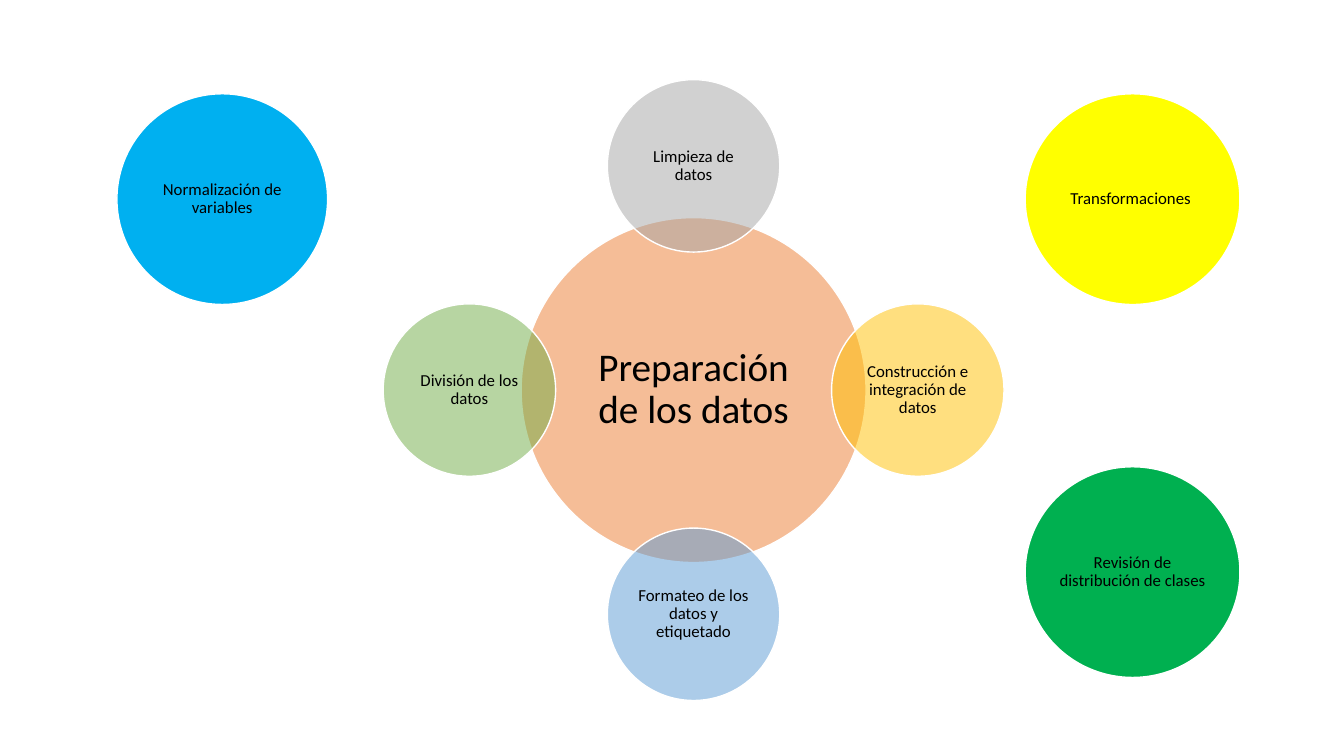
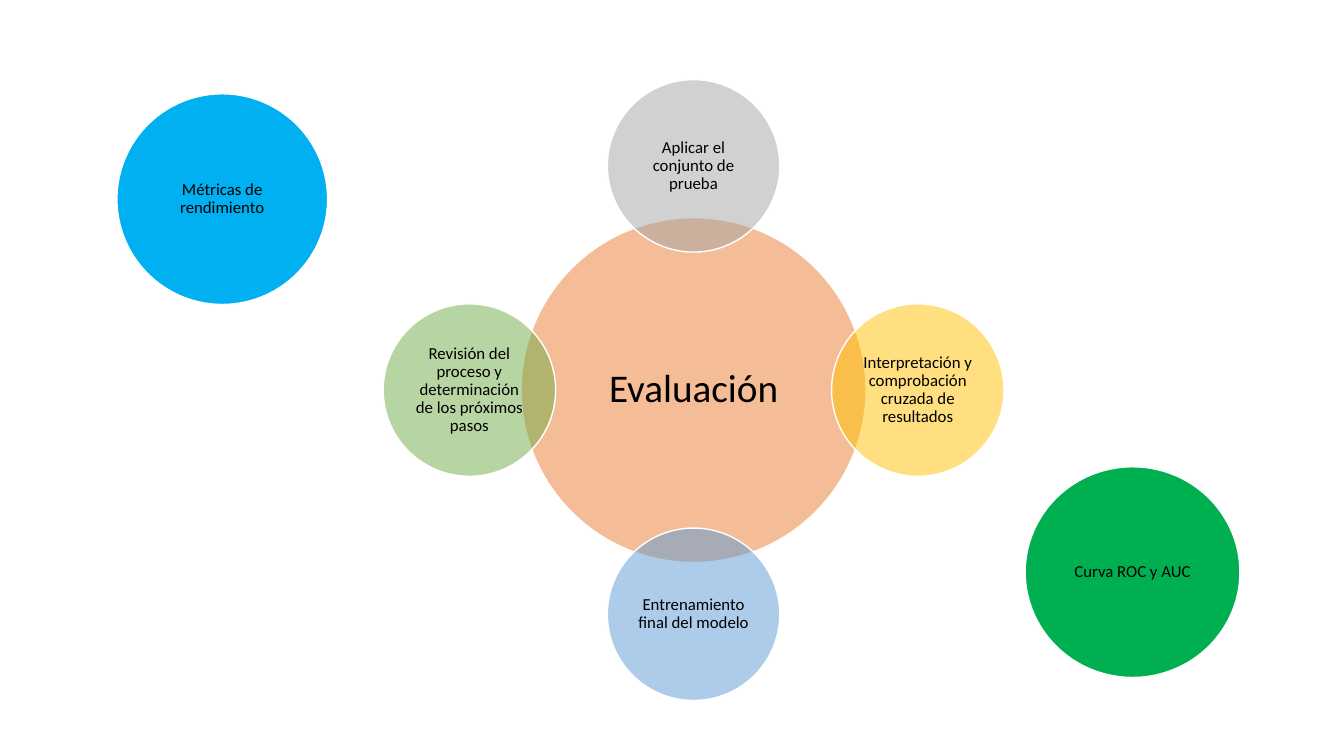
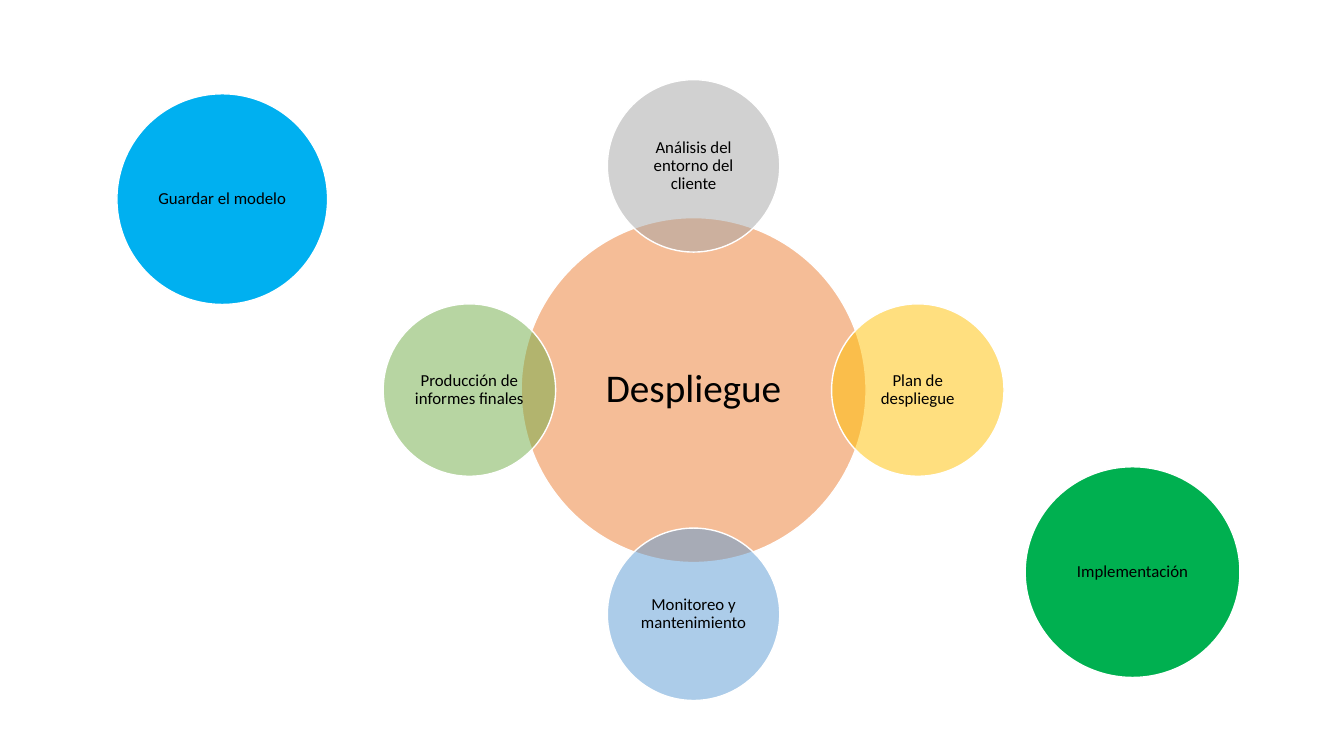
from dataclasses import dataclass
from math import cos, pi, sin

from lxml.etree import SubElement
from pptx import Presentation
from pptx.dml.color import RGBColor
from pptx.enum.shapes import MSO_SHAPE
from pptx.enum.text import MSO_ANCHOR, PP_ALIGN
from pptx.oxml.ns import qn
from pptx.util import Pt


@dataclass(frozen=True)
class Theme:
    font: str = "Calibri"
    text: str = "000000"
    outline: str = "FFFFFF"
    hub: str = "ED7D31"
    steps: tuple = ("A5A5A5", "FFC000", "5B9BD5", "70AD47")
    blue: str = "00B0F0"
    green: str = "00B050"
    yellow: str = "FFFF00"
    hub_size: int = 28
    label_size: int = 12
    line_spacing: float = 0.9
    outline_width: int = 1
    alpha: int = 50


THEME = Theme()
CYCLE_BOX = (273.7, 56.9, 443.5)
TOPIC_BOXES = {
    THEME.blue: (83.5, 67, 150.5, 150.5),
    THEME.green: (732.3, 333.4, 153.4, 150.5),
    THEME.yellow: (732.3, 67, 153.4, 150.5),
}
SLIDES = [
    (
        "Preparación de los datos",
        ["Limpieza de datos", "Construcción e integración de datos",
         "Formateo de los datos y etiquetado", "División de los datos"],
        {THEME.blue: "Normalización de variables",
         THEME.green: "Revisión de distribución de clases",
         THEME.yellow: "Transformaciones "},
    ),
    (
        "Evaluación",
        ["Aplicar el conjunto de prueba",
         "Interpretación y comprobación cruzada de resultados",
         "Entrenamiento final del modelo",
         "Revisión del proceso y determinación de los próximos pasos"],
        {THEME.blue: "Métricas de rendimiento",
         THEME.green: "Curva ROC y AUC"},
    ),
    (
        "Despliegue",
        ["Análisis del entorno del cliente", "Plan de despliegue",
         "Monitoreo y mantenimiento", "Producción de informes finales"],
        {THEME.blue: "Guardar el modelo",
         THEME.green: "Implementación"},
    ),
]


def add_circle(slide, box, color, text, size=THEME.label_size, alpha=100):
    sp = slide.shapes.add_shape(MSO_SHAPE.OVAL, *(Pt(v) for v in box))
    sp.shadow.inherit = False
    sp.fill.solid()
    sp.fill.fore_color.rgb = RGBColor.from_string(color)
    if alpha < 100:
        fill_color = sp.element.spPr.find(f"{qn('a:solidFill')}/{qn('a:srgbClr')}")
        SubElement(fill_color, qn("a:alpha")).set("val", str(alpha * 1000))
    sp.line.color.rgb = RGBColor.from_string(THEME.outline)
    sp.line.width = Pt(THEME.outline_width)

    tf = sp.text_frame
    tf.word_wrap = True
    tf.vertical_anchor = MSO_ANCHOR.MIDDLE
    inset = Pt(size / 10)
    tf.margin_left = tf.margin_right = tf.margin_top = tf.margin_bottom = inset
    p = tf.paragraphs[0]
    p.text = text
    p.alignment = PP_ALIGN.CENTER
    p.line_spacing = THEME.line_spacing
    p.font.name = THEME.font
    p.font.size = Pt(size)
    p.font.color.rgb = RGBColor.from_string(THEME.text)


def add_cycle(slide, box, hub, steps):
    left, top, side = box
    center_x, center_y = left + side / 2, top + side / 2
    hub_side = side * 5 / 9
    step_side = hub_side / 2
    orbit = (side - step_side) / 2

    def square(x, y, width):
        return x - width / 2, y - width / 2, width, width

    add_circle(slide, square(center_x, center_y, hub_side), THEME.hub, hub,
               THEME.hub_size, THEME.alpha)
    for i, (text, color) in enumerate(zip(steps, THEME.steps)):
        angle = 2 * pi * i / len(steps)
        x = center_x + orbit * sin(angle)
        y = center_y - orbit * cos(angle)
        add_circle(slide, square(x, y, step_side), color, text, alpha=THEME.alpha)


def add_cycle_slide(prs, hub, steps, topics):
    slide = prs.slides.add_slide(prs.slide_layouts[6])
    add_cycle(slide, CYCLE_BOX, hub, steps)
    for color, text in topics.items():
        add_circle(slide, TOPIC_BOXES[color], color, text)


def main():
    prs = Presentation()
    prs.slide_width, prs.slide_height = Pt(960), Pt(540)
    for hub, steps, topics in SLIDES:
        add_cycle_slide(prs, hub, steps, topics)
    prs.save("out.pptx")


if __name__ == "__main__":
    main()
